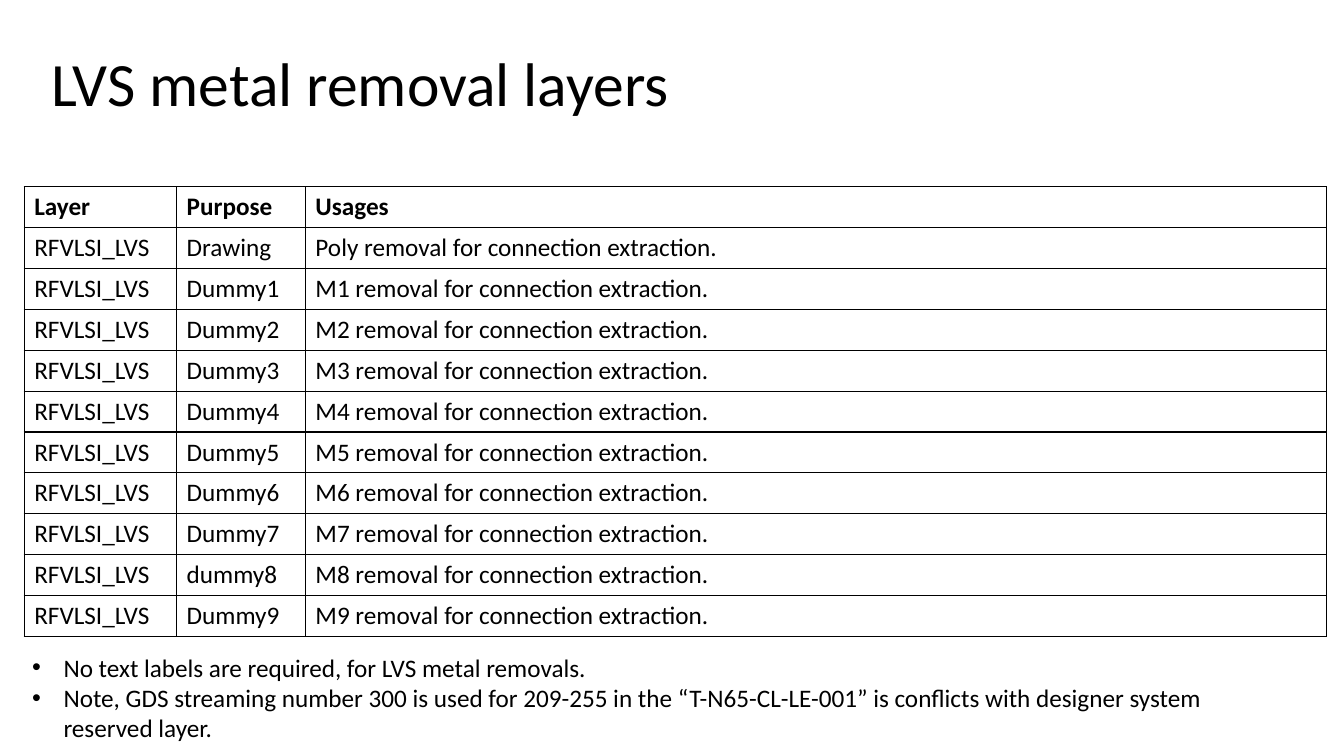
import pptx
import pptx.dml.color
import pptx.enum.text
import pptx.oxml
import pptx.oxml.ns
import pptx.util
from lxml import etree

Pt = pptx.util.Pt
BLACK = "000000"


def color(hex_text):
    """Turn a hex string into a colour."""
    return pptx.dml.color.RGBColor.from_string(hex_text)


def add_xml(parent, tag, **attributes):
    """Append a drawing element with the given attributes."""
    return etree.SubElement(parent, pptx.oxml.ns.qn(tag), attributes)


def write(para, text, size=18, bold=False, font="Calibri", ink=BLACK):
    """Add formatted text to a paragraph."""
    span = para.add_run()
    span.text = text
    span.font.name = font
    span.font.size = Pt(size)
    span.font.bold = bold
    span.font.color.rgb = color(ink)


class SlideBuilder:
    """Holds the line style and the current slide."""

    line_color = BLACK
    line_width = 1

    def __init__(self, deck):
        """Start a title-only slide."""
        self.slide = deck.slides.add_slide(deck.slide_layouts[5])

    def title(self, text, left, top, width, height):
        """Place and fill the title placeholder."""
        box = self.slide.shapes.title
        box.left, box.top, box.width, box.height = map(Pt, (left, top, width, height))
        box.text_frame.vertical_anchor = pptx.enum.text.MSO_ANCHOR.MIDDLE
        box.text_frame.word_wrap = True
        para = box.text_frame.paragraphs[0]
        para.alignment = pptx.enum.text.PP_ALIGN.LEFT
        para.line_spacing = 0.9
        write(para, text, size=44)

    def border(self, cell):
        """Draw a line on all four sides of a cell and leave it unfilled."""
        properties = cell._tc.get_or_add_tcPr()
        for side in ("a:lnL", "a:lnR", "a:lnT", "a:lnB"):
            line = add_xml(properties, side, w=str(Pt(self.line_width)))
            fill = add_xml(line, "a:solidFill")
            add_xml(fill, "a:srgbClr", val=self.line_color)
        cell.fill.background()

    def table(self, rows, left, top, widths, row_height):
        """Add a bordered table whose first row is bold."""
        frame = self.slide.shapes.add_table(
            len(rows), len(widths), Pt(left), Pt(top),
            Pt(sum(widths)), Pt(row_height * len(rows)))
        table = frame.table
        table.horz_banding = False
        for column, width in zip(table.columns, widths):
            column.width = Pt(width)
        for row_index, texts in enumerate(rows):
            table.rows[row_index].height = Pt(row_height)
            for column_index, text in enumerate(texts):
                cell = table.cell(row_index, column_index)
                self.border(cell)
                write(cell.text_frame.paragraphs[0], text, bold=row_index == 0)

    def bullets(self, texts, left, top, width, height, indent):
        """Add a text box with one bulleted paragraph per text."""
        box = self.slide.shapes.add_textbox(Pt(left), Pt(top), Pt(width), Pt(height))
        frame = box.text_frame
        frame.word_wrap = True
        frame.auto_size = pptx.enum.text.MSO_AUTO_SIZE.SHAPE_TO_FIT_TEXT
        for index, text in enumerate(texts):
            para = frame.add_paragraph() if index else frame.paragraphs[0]
            properties = para._p.get_or_add_pPr()
            properties.set("marL", str(Pt(indent)))
            properties.set("indent", str(-Pt(indent)))
            add_xml(properties, "a:buFont", typeface="Arial")
            add_xml(properties, "a:buChar", char="•")
            write(para, text)


deck = pptx.Presentation()
deck.slide_width, deck.slide_height = Pt(960), Pt(540)
page = SlideBuilder(deck)
page.title("LVS metal removal layers", 29.5, 9.4, 828, 104.4)

purposes = ["Drawing"] + [f"{'dummy' if n == 8 else 'Dummy'}{n}" for n in range(1, 10)]
metals = ["Poly"] + [f"M{n}" for n in range(1, 10)]
layers = [("Layer", "Purpose", "Usages")] + [
    ("RFVLSI_LVS", purpose, f"{metal} removal for connection extraction.")
    for purpose, metal in zip(purposes, metals)]
page.table(layers, 17.3, 133.4, (108.9, 92, 736.6 - 7), 29.2)

page.bullets([
    "No text labels are required, for LVS metal removals.",
    "Note, GDS streaming number 300 is used for 209-255 in the “T-N65-CL-LE-001” "
    "is conflicts with designer system reserved layer.",
], 15.8, 462.2, 899.3, 72.7, 22.5)
deck.save("out.pptx")
